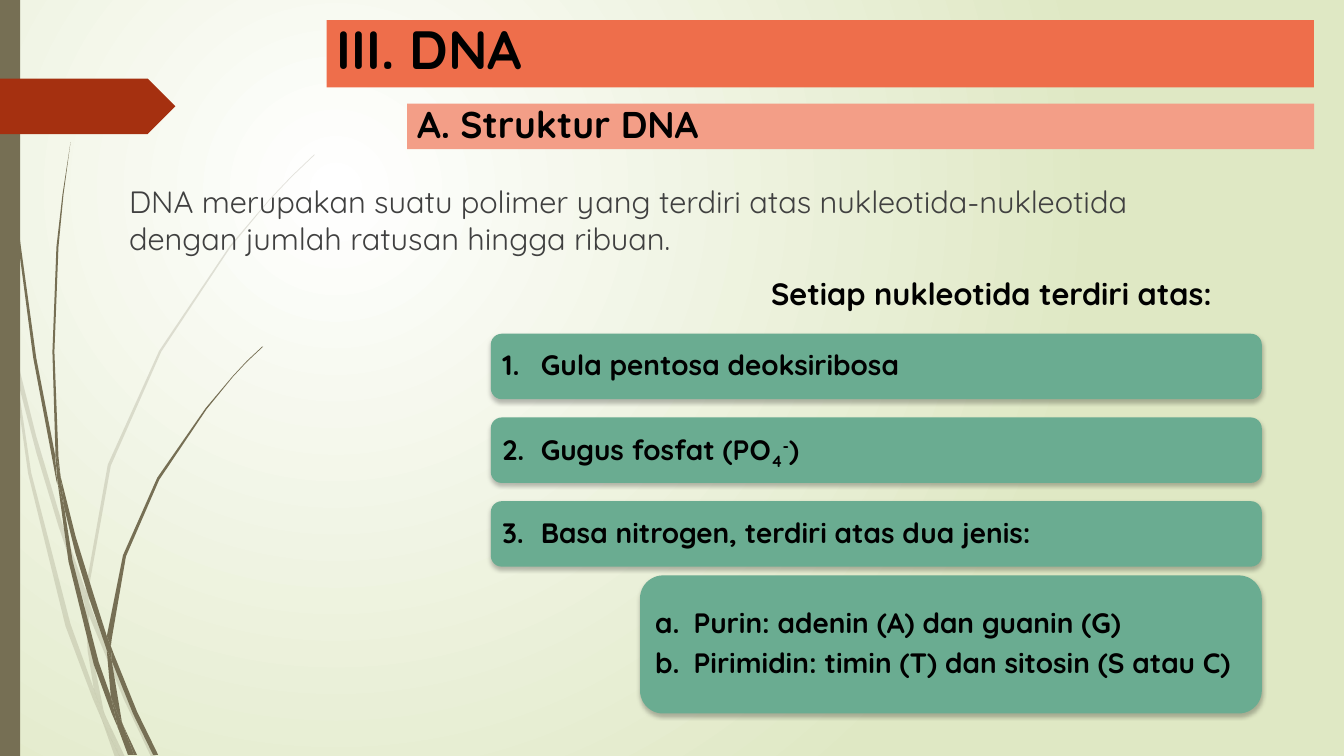
from dataclasses import dataclass

import pptx
import pptx.util
import pptx.dml.color
import pptx.enum.shapes
import pptx.enum.text
import pptx.oxml
import pptx.oxml.ns
import pptx.oxml.xmlchemy
from pptx.util import Cm, Pt

SHAPE = pptx.enum.shapes.MSO_SHAPE
ALIGN = pptx.enum.text.PP_ALIGN
ANCHOR = pptx.enum.text.MSO_ANCHOR


@dataclass(frozen=True)
class Theme:
    font: str = "Quicksand"
    white: str = "FFFFFF"
    pale_green: str = "DFE8C4"
    olive: str = "766F54"
    rust: str = "A53010"
    coral: str = "EE6E4B"
    salmon: str = "F39E87"
    green: str = "6AAC91"
    black: str = "000000"
    grey: str = "404040"
    title: float = 38.5
    subtitle: float = 26.6
    body: float = 22
    item: float = 20


THEME = Theme()
GRASS_UNIT = Cm(0.0254)

LIGHT_GRASS = [
    [(11, 350), (9, 322), (0, 282), (0, 299), (10, 344)],
    [(58, 522), (84, 599), (85, 586), (62, 520), (36, 433), (14, 345),
     (17, 376), (36, 449)],
    [(92, 607), (88, 596), (88, 610), (123, 694), (150, 751), (155, 751), (127, 692)],
    [(119, 751), (124, 751), (105, 711)],
    [(93, 683), (70, 619), (31, 469), (17, 376), (11, 350), (28, 470),
     (65, 621), (92, 693), (101, 714), (99, 707)],
    [(84, 599), (87, 646), (93, 683), (96, 692), (105, 711), (103, 706),
     (91, 646), (88, 610), (88, 608)],
    [(88, 584), (110, 462), (160, 349), (229, 245), (268, 198), (290, 175),
     (312, 154), (312, 153), (289, 175), (268, 197), (228, 244), (158, 348),
     (107, 461), (85, 584), (85, 586), (88, 596)],
    [(101, 714), (114, 751), (119, 751)],
    [(88, 608), (88, 610), (88, 596), (85, 586), (84, 599)],
    [(96, 692), (93, 683), (99, 707), (101, 714), (119, 751), (105, 711)],
]
DARK_GRASS = [
    [(7, 110), (17, 233), (33, 355), (56, 477), (57, 481), (55, 457), (55, 453),
     (36, 355), (19, 232), (8, 109), (5, 48), (4, 0), (3, 0), (4, 48)],
    [(88, 592), (106, 645), (106, 633), (106, 631), (93, 590), (75, 532),
     (60, 472), (64, 505), (75, 549)],
    [(113, 649), (110, 641), (111, 656), (132, 708), (152, 749), (157, 749), (136, 706)],
    [(110, 691), (98, 657), (72, 556), (64, 505), (57, 477), (68, 557),
     (93, 659), (111, 708), (117, 722), (116, 717)],
    [(60, 472), (58, 453), (54, 349), (58, 245), (63, 193), (70, 141),
     (62, 193), (56, 245), (52, 349), (55, 449)],
    [(133, 749), (136, 749), (122, 719)],
    [(57, 477), (64, 505), (60, 472), (55, 449), (55, 453)],
    [(111, 633), (125, 552), (158, 476), (205, 406), (231, 374), (245, 359),
     (261, 344), (260, 344), (245, 358), (231, 373), (204, 405), (156, 474),
     (122, 551), (106, 631), (110, 641)],
    [(117, 722), (127, 749), (131, 749)],
    [(106, 645), (110, 691), (116, 706), (122, 719), (121, 716), (111, 656), (109, 651)],
    [(106, 645), (109, 651), (111, 656), (110, 641), (106, 631), (106, 633)],
    [(116, 706), (110, 691), (116, 717), (117, 722), (130, 749), (133, 749), (122, 719)],
]


def rgb(code):
    return pptx.dml.color.RGBColor.from_string(code)


def sub(parent, tag, **attrs):
    el = pptx.oxml.xmlchemy.OxmlElement(tag)
    for name, value in attrs.items():
        el.set(name, str(value))
    parent.append(el)
    return el


def paint(sp, color):
    sp.shadow.inherit = False
    sp.fill.solid()
    sp.fill.fore_color.rgb = rgb(color)
    sp.line.fill.background()


def place(sp, left, top, width, height):
    sp.left, sp.top, sp.width, sp.height = map(Cm, (left, top, width, height))


def add_background(s):
    fill = s.background.fill
    fill.gradient()
    for stop, color in zip(fill.gradient_stops, (THEME.white, THEME.pale_green)):
        stop.color.rgb = rgb(color)
    grad = next(s.element.iter(pptx.oxml.ns.qn("a:gradFill")))
    grad.remove(grad.find(pptx.oxml.ns.qn("a:lin")))
    circle = sub(grad, "a:path", path="circle")
    sub(circle, "a:fillToRect", l=50000, t=50000, r=100000, b=100000)


def add_blade(s, points, alpha=100):
    outline = s.shapes.build_freeform(*points[0], scale=GRASS_UNIT)
    outline.add_line_segments(points[1:])
    sp = outline.convert_to_shape()
    paint(sp, THEME.olive)
    if alpha < 100:
        color = next(sp.element.spPr.iter(pptx.oxml.ns.qn("a:srgbClr")))
        sub(color, "a:alpha", val=alpha * 1000)


def add_block(s, kind, color, *box):
    sp = s.shapes.add_shape(kind, *map(Cm, box))
    paint(sp, color)
    return sp


def write(sp, lines, size, color=THEME.black, bold=True, spacing=0.9,
          before=0, after=0, align=ALIGN.LEFT, anchor=ANCHOR.MIDDLE):
    tf = sp.text_frame
    tf.word_wrap = True
    tf.auto_size = pptx.enum.text.MSO_AUTO_SIZE.NONE
    tf.vertical_anchor = anchor
    for i, line in enumerate(lines):
        p = tf.add_paragraph() if i else tf.paragraphs[0]
        for text, base in [(line, 0)] if isinstance(line, str) else line:
            r = p.add_run()
            r.text = text
            if base:
                r.font._element.set("baseline", str(base * 1000))
        p.alignment = align
        p.line_spacing = spacing
        p.space_before, p.space_after = Pt(before), Pt(after)
        p.font.name, p.font.size, p.font.bold = THEME.font, Pt(size), bold
        p.font.color.rgb = rgb(color)


def add_card(s, lines, *box):
    sp = add_block(s, SHAPE.ROUNDED_RECTANGLE, THEME.green, *box)
    effects = sp.element.spPr.find(pptx.oxml.ns.qn("a:effectLst"))
    shadow = sub(effects, "a:outerShdw", blurRad=Pt(3), dist=Pt(2),
                 dir=5400000, algn="ctr", rotWithShape=0)
    sub(sub(shadow, "a:srgbClr", val=THEME.black), "a:alpha", val=25000)
    write(sp, lines, THEME.item, after=7)
    tf = sp.text_frame
    tf.margin_left = tf.margin_right = Cm(0.21)
    for p in tf.paragraphs:
        pPr = p._p.get_or_add_pPr()
        pPr.set("marL", str(Cm(0.97)))
        pPr.set("indent", str(-Cm(0.97)))


def add_heading(s):
    sp = add_block(s, SHAPE.RECTANGLE, THEME.salmon, 10.26, 2.61, 22.86, 1.15)
    write(sp, ["A. Struktur DNA"], THEME.subtitle)
    title = s.shapes.title
    place(title, 8.23, 0.51, 24.88, 1.69)
    paint(title, THEME.coral)
    write(title, ["III. DNA"], THEME.title, spacing=0.8)
    s.shapes._spTree.append(title.element)


def add_body(s):
    body = s.placeholders[1]
    place(body, 3, 4.47, 27.79, 2.01)
    write(body, ["DNA merupakan suatu polimer yang terdiri atas nukleotida-nukleotida "
                 "dengan jumlah ratusan hingga ribuan."],
          THEME.body, THEME.grey, bold=False, spacing=1, before=10, anchor=ANCHOR.TOP)
    pPr = body.text_frame.paragraphs[0]._p.get_or_add_pPr()
    pPr.set("marL", "0")
    pPr.set("indent", "0")
    bullet = pptx.oxml.xmlchemy.OxmlElement("a:buNone")
    pPr.find(pptx.oxml.ns.qn("a:defRPr")).addprevious(bullet)
    s.shapes._spTree.append(body.element)


def main():
    prs = pptx.Presentation()
    prs.slide_width, prs.slide_height = Cm(33.87), Cm(19.05)
    s = prs.slides.add_slide(prs.slide_layouts[1])
    add_background(s)
    for points in LIGHT_GRASS:
        add_blade(s, points, alpha=20)
    for points in DARK_GRASS:
        add_blade(s, points)
    add_block(s, SHAPE.RECTANGLE, THEME.olive, 0, 0, 0.51, 19.05)
    add_block(s, SHAPE.PENTAGON, THEME.rust, 0, 1.98, 4.42, 1.4)
    add_body(s)
    add_heading(s)
    components = [
        "1.\tGula pentosa deoksiribosa",
        [("2.\tGugus fosfat (PO", 0), ("4", -25), ("-", 30), (")", 0)],
        "3.\tBasa nitrogen, terdiri atas dua jenis:",
    ]
    for i, line in enumerate(components):
        add_card(s, [line], 12.37, 8.41 + 2.11 * i, 19.43, 1.65)
    add_card(s, ["a.\tPurin: adenin (A) dan guanin (G)",
                 "b.\tPirimidin: timin (T) dan sitosin (S atau C)"],
             16.13, 14.5, 15.67, 3.48)
    intro = s.shapes.add_textbox(Cm(3), Cm(6.91), Cm(27.79), Cm(1.09))
    write(intro, ["Setiap nukleotida terdiri atas:"], THEME.body,
          before=9.7, align=ALIGN.RIGHT, anchor=ANCHOR.TOP)
    prs.save("out.pptx")


if __name__ == "__main__":
    main()
